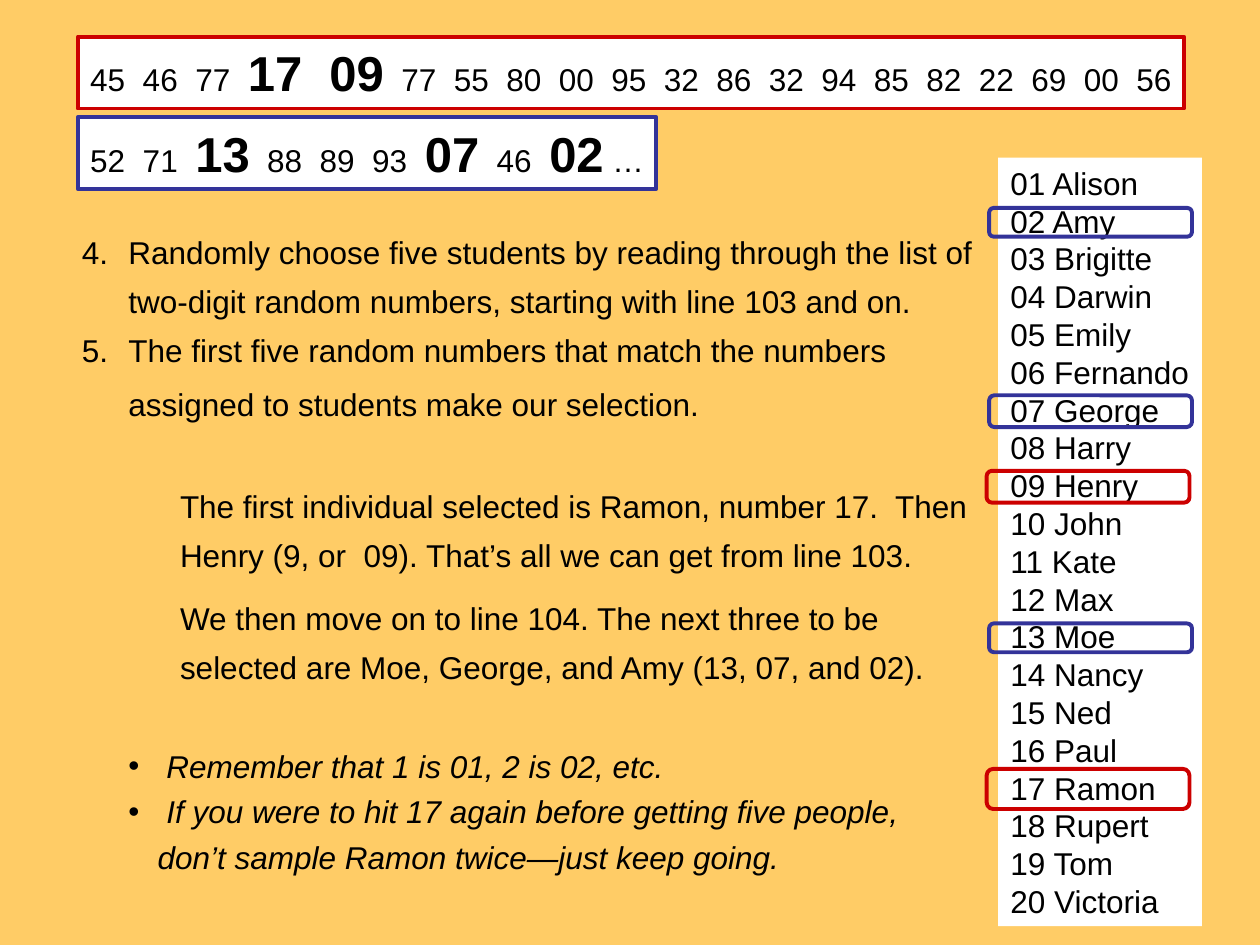
from lxml.etree import SubElement
from pptx import Presentation
from pptx.dml.color import RGBColor
from pptx.enum.shapes import MSO_SHAPE
from pptx.enum.text import MSO_ANCHOR, PP_ALIGN
from pptx.oxml.ns import qn
from pptx.util import Cm, Pt

RED, BLUE, WHITE, BLACK = "CC0000", "333399", "FFFFFF", "000000"
NAMES = ("Alison Amy Brigitte Darwin Emily Fernando George Harry Henry John "
         "Kate Max Moe Nancy Ned Paul Ramon Rupert Tom Victoria").split()
INSET = 0.13


def rgb(value):
    """Turn a hex string into a colour."""
    return RGBColor.from_string(value)


def add_text(p, text, size=18, bold=False, italic=False, color=BLACK):
    """Add a formatted run to a paragraph."""
    r = p.add_run()
    r.text = text
    r.font.name = "Arial"
    r.font.size = Pt(size)
    r.font.bold = bold
    r.font.italic = italic
    r.font.color.rgb = rgb(color)


def add_panel(s, box, kind=MSO_SHAPE.RECTANGLE, fill=None, line=None):
    """Add a shape with an optional fill and outline."""
    sp = s.shapes.add_shape(kind, *map(Cm, box))
    sp.shadow.inherit = False
    if fill:
        sp.fill.solid()
        sp.fill.fore_color.rgb = rgb(fill)
    else:
        sp.fill.background()
    if line:
        sp.line.color.rgb = rgb(line)
        sp.line.width = Pt(2.25)
    else:
        sp.line.fill.background()
    sp.text_frame.word_wrap = False
    sp.text_frame.vertical_anchor = MSO_ANCHOR.TOP
    return sp


def add_paragraphs(tf, count, spacing=None):
    """Return the given number of left-aligned paragraphs."""
    paragraphs = [tf.paragraphs[0]] + [tf.add_paragraph() for _ in range(count - 1)]
    for p in paragraphs:
        p.alignment = PP_ALIGN.LEFT
        if spacing:
            p.line_spacing = spacing
    return paragraphs


def add_box(s, box, count, spacing):
    """Add a wrapping text box and return its paragraphs."""
    tf = s.shapes.add_textbox(*map(Cm, box)).text_frame
    tf.word_wrap = True
    return add_paragraphs(tf, count, spacing)


def set_bullet(p, left, hanging, tag, **attributes):
    """Give a paragraph a hanging bullet or number."""
    pPr = p._p.get_or_add_pPr()
    pPr.set("marL", str(Cm(left)))
    pPr.set("indent", str(-Cm(hanging)))
    SubElement(pPr, qn("a:buFont"), typeface="Arial")
    SubElement(pPr, qn(tag), **attributes)


def number_strip(s, box, line, parts):
    """Draw a line of random numbers; every second part is a large bold match."""
    sp = add_panel(s, box, fill=WHITE, line=line)
    p, = add_paragraphs(sp.text_frame, 1)
    for i, part in enumerate(parts):
        add_text(p, part, size=28 if i % 2 else 18, bold=bool(i % 2))


def roster(s, box, rings):
    """List the numbered students and ring the selected ones."""
    left, top, _, height = box
    tf = add_panel(s, box, fill=WHITE).text_frame
    paragraphs = add_paragraphs(tf, len(NAMES), Pt(21.6))
    for number, (p, name) in enumerate(zip(paragraphs, NAMES), 1):
        add_text(p, f"{number:02d} {name}")
    row = (height - 2 * INSET) / len(NAMES)
    for number, color, dx, ring_height in rings:
        middle = top + INSET + (number - 0.5) * row + 0.03
        add_panel(s, (left + dx, middle - ring_height / 2, 4.09, ring_height),
                  MSO_SHAPE.ROUNDED_RECTANGLE, line=color)


def steps(s, box, texts, start):
    """Write the numbered steps."""
    paragraphs = add_box(s, box, len(texts), 1.3)
    for p, text in zip(paragraphs, texts):
        set_bullet(p, 1.27, 0.94, "a:buAutoNum", type="arabicPeriod", startAt=str(start))
        add_text(p, text)
    add_text(paragraphs[-1], " ", size=20)


def note(s, box, text):
    """Write one explanatory paragraph."""
    p, = add_box(s, box, 1, 1.3)
    add_text(p, text)


def reminders(s, box, texts):
    """Write the italic bulleted reminders."""
    for p, text in zip(add_box(s, box, len(texts), 1.2), texts):
        set_bullet(p, 0.59, 0.59, "a:buChar", char="•")
        add_text(p, text, italic=True)


def main():
    """Build and save the slide."""
    prs = Presentation()
    prs.slide_width, prs.slide_height = Cm(25.4), Cm(19.05)
    s = prs.slides.add_slide(prs.slide_layouts[6])
    s.background.fill.solid()
    s.background.fill.fore_color.rgb = rgb("FFCC66")

    roster(s, (20.12, 3.18, 4.11, 15.49), [
        (2, BLUE, -0.18, 0.58), (7, BLUE, -0.18, 0.64), (13, BLUE, -0.18, 0.58),
        (9, RED, -0.23, 0.64), (17, RED, -0.23, 0.81)])
    reminders(s, (2.34, 14.78, 16.31, 3), [
        " Remember that 1 is 01, 2 is 02, etc.",
        " If you were to hit 17 again before getting five people, "
        "don’t sample Ramon twice—just keep going."])
    steps(s, (1.07, 4.34, 18.85, 4.34), [
        "Randomly choose five students by reading through the list of "
        "two-digit random numbers, starting with line 103 and on.",
        "The first five random numbers that match the numbers "
        "assigned to students make our selection."], start=4)
    number_strip(s, (1.57, 0.74, 22.3, 1.45), RED, [
        "45  46  77  ", "17  09",
        "  77  55  80  00  95  32  86  32  94  85  82  22  69  00  56"])
    number_strip(s, (1.57, 2.36, 11.66, 1.45), BLUE, [
        "52  71  ", "13", "  88  89  93  ", "07", "  46  ", "02", " …"])
    note(s, (3.38, 9.47, 16.71, 2.24),
         "The first individual selected is Ramon, number 17.  Then "
         "Henry (9, or  09). That’s all we can get from line 103.")
    note(s, (3.38, 11.73, 16.71, 2.24),
         "We then move on to line 104. The next three to be "
         "selected are Moe, George, and Amy (13, 07, and 02).")
    prs.save("out.pptx")


if __name__ == "__main__":
    main()
